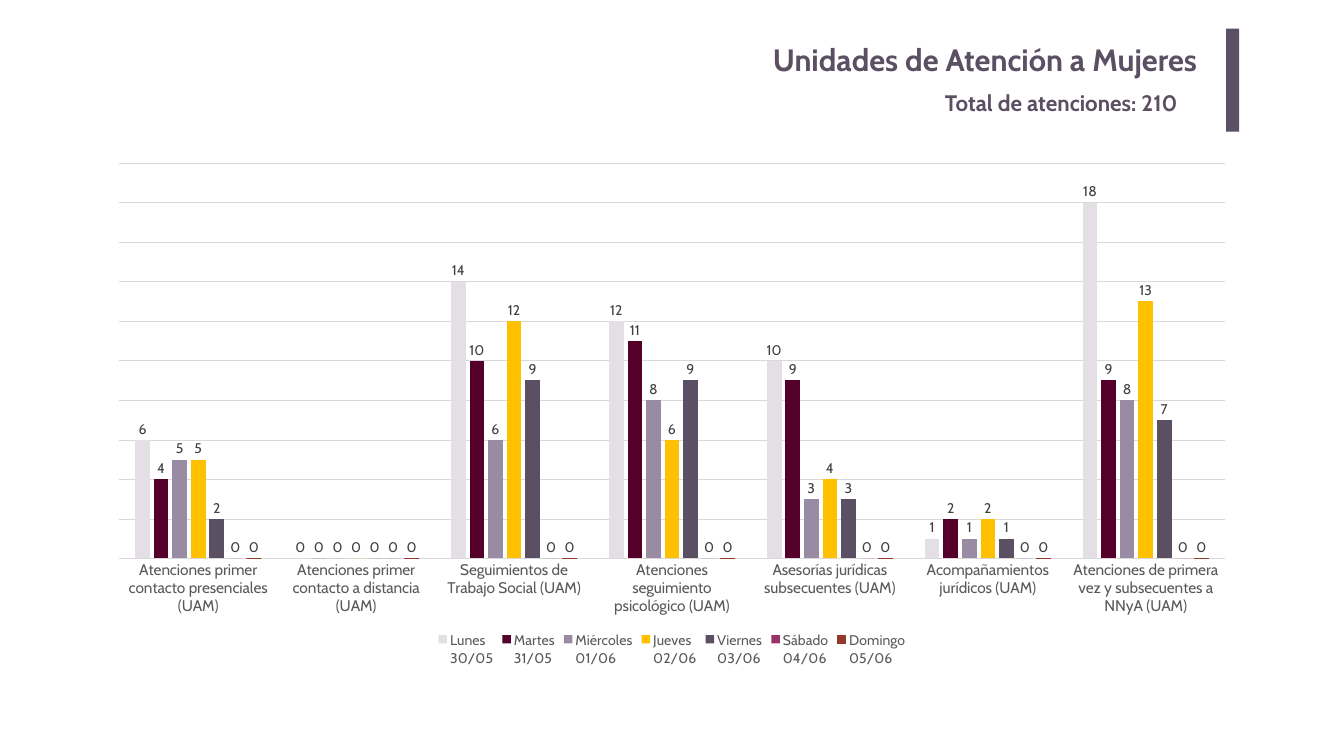
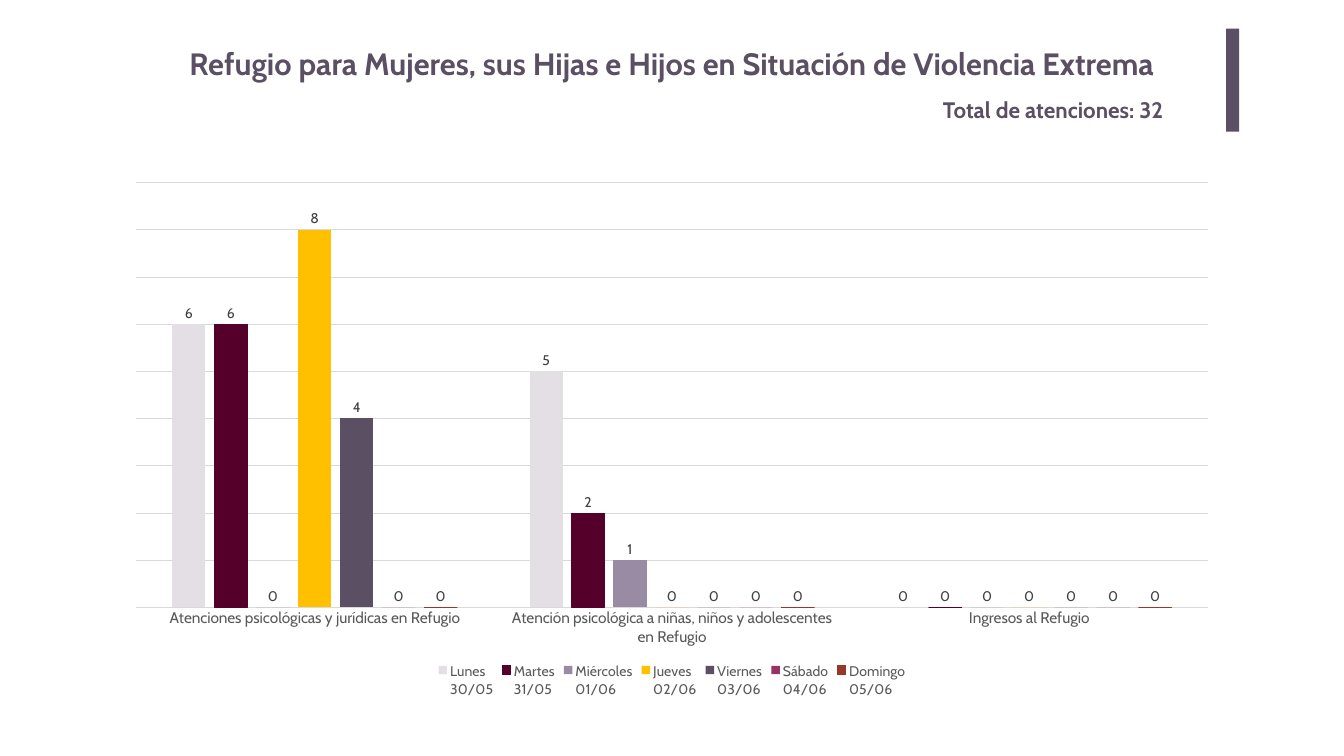
from dataclasses import dataclass

from pptx import Presentation
from pptx.chart.data import CategoryChartData
from pptx.dml.color import RGBColor
from pptx.enum.chart import XL_CHART_TYPE, XL_LABEL_POSITION, XL_LEGEND_POSITION, XL_TICK_MARK
from pptx.enum.shapes import MSO_SHAPE
from pptx.enum.text import MSO_ANCHOR, MSO_AUTO_SIZE, PP_ALIGN
from pptx.util import Inches, Pt


@dataclass(frozen=True)
class Theme:
    font: str = "Cabin"
    accent: str = "5B4F63"
    axis_text: str = "595959"
    label_text: str = "404040"
    rule: str = "D9D9D9"
    title_size: int = 44
    subtitle_size: int = 32
    category_size: int = 22
    chart_size: int = 20
    hairline: float = 0.75


@dataclass(frozen=True)
class Area:
    left: float
    top: float
    width: float
    height: float

    def lengths(self) -> tuple:
        return tuple(Inches(v) for v in (self.left, self.top, self.width, self.height))


@dataclass(frozen=True)
class Day:
    name: str
    color: str


@dataclass(frozen=True)
class Report:
    title: str
    title_area: Area
    title_align: PP_ALIGN
    title_margins: tuple[float, float]
    subtitle: str
    subtitle_area: Area
    chart_area: Area
    axis_maximum: int
    axis_step: int
    outlined_days: tuple[str, ...]
    counts: dict[str, tuple[int, ...]]  # category -> one count per day


THEME = Theme()
ACCENT_BAR = Area(24.33, 0.57, 0.26, 2.04)

DAYS = (
    Day("Lunes\n30/05", "E3DFE5"),
    Day("Martes\n31/05", "54002A"),
    Day("Miércoles\n01/06", "998BA3"),
    Day("Jueves\n02/06", "FFC000"),
    Day("Viernes\n03/06", "5B4F63"),
    Day("Sábado\n04/06", "993366"),
    Day("Domingo\n05/06", "95372B"),
)

REPORTS = (
    Report(
        title="Unidades de Atención a Mujeres",
        title_area=Area(3.66, 0.67, 20.3, 1.02),
        title_align=PP_ALIGN.RIGHT,
        title_margins=(0.2, 0.1),
        subtitle="Total de atenciones: 210",
        subtitle_area=Area(18.65, 1.71, 5.31, 0.65),
        chart_area=Area(1.91, 3.03, 22.85, 10.26),
        axis_maximum=20,
        axis_step=2,
        outlined_days=("Domingo",),
        counts={
            "Atenciones primer contacto presenciales (UAM)": (6, 4, 5, 5, 2, 0, 0),
            "Atenciones primer contacto a distancia (UAM)": (0, 0, 0, 0, 0, 0, 0),
            "Seguimientos de Trabajo Social (UAM)": (14, 10, 6, 12, 9, 0, 0),
            "Atenciones seguimiento psicológico (UAM)": (12, 11, 8, 6, 9, 0, 0),
            "Asesorías jurídicas subsecuentes (UAM)": (10, 9, 3, 4, 3, 0, 0),
            "Acompañamientos jurídicos (UAM)": (1, 2, 1, 2, 1, 0, 0),
            "Atenciones de primera vez y subsecuentes a NNyA (UAM)": (18, 9, 8, 13, 7, 0, 0),
        },
    ),
    Report(
        title="Refugio para Mujeres, sus Hijas e Hijos en Situación de Violencia Extrema",
        title_area=Area(3.66, 0.84, 20.73, 0.84),
        title_align=PP_ALIGN.LEFT,
        title_margins=(0.1, 0.05),
        subtitle="Total de atenciones: 32",
        subtitle_area=Area(18.61, 1.85, 5.35, 0.64),
        chart_area=Area(2.26, 3.41, 22.15, 10.49),
        axis_maximum=9,
        axis_step=1,
        outlined_days=("Martes", "Domingo"),
        counts={
            "Atenciones psicológicas y jurídicas en Refugio": (6, 6, 0, 8, 4, 0, 0),
            "Atención psicológica a niñas, niños y adolescentes en Refugio": (5, 2, 1, 0, 0, 0, 0),
            "Ingresos al Refugio": (0, 0, 0, 0, 0, 0, 0),
        },
    ),
)


def rgb(color: str) -> RGBColor:
    return RGBColor.from_string(color)


def style_font(font, size: int, color: str, bold: bool = False) -> None:
    font.name = THEME.font
    font.size = Pt(size)
    font.bold = bold
    font.color.rgb = rgb(color)


def style_line(line, color: str) -> None:
    line.color.rgb = rgb(color)
    line.width = Pt(THEME.hairline)


def write_heading(shape, text: str, area: Area, size: int, align: PP_ALIGN,
                  margins: tuple[float, float] = (0.1, 0.05)) -> None:
    shape.left, shape.top, shape.width, shape.height = area.lengths()
    frame = shape.text_frame
    frame.word_wrap = True
    frame.auto_size = MSO_AUTO_SIZE.NONE
    frame.vertical_anchor = MSO_ANCHOR.MIDDLE
    frame.margin_left = frame.margin_right = Inches(margins[0])
    frame.margin_top = frame.margin_bottom = Inches(margins[1])
    frame.text = text
    para = frame.paragraphs[0]
    para.alignment = align
    style_font(para.font, size, THEME.accent, bold=True)


def add_accent_bar(page) -> None:
    bar = page.shapes.add_shape(MSO_SHAPE.RECTANGLE, *ACCENT_BAR.lengths())
    bar.shadow.inherit = False
    bar.fill.solid()
    bar.fill.fore_color.rgb = rgb(THEME.accent)
    bar.line.fill.background()


def style_axes(chart, report: Report) -> None:
    category_axis = chart.category_axis
    category_axis.major_tick_mark = XL_TICK_MARK.NONE
    category_axis.minor_tick_mark = XL_TICK_MARK.NONE
    style_line(category_axis.format.line, THEME.rule)
    style_font(category_axis.tick_labels.font, THEME.category_size, THEME.axis_text)

    value_axis = chart.value_axis
    value_axis.visible = False
    value_axis.minimum_scale = 0
    value_axis.maximum_scale = report.axis_maximum
    value_axis.major_unit = report.axis_step
    value_axis.has_major_gridlines = True
    style_line(value_axis.major_gridlines.format.line, THEME.rule)


def style_series(series, day: Day, outlined: bool) -> None:
    series.invert_if_negative = False
    series.format.fill.solid()
    series.format.fill.fore_color.rgb = rgb(day.color)
    if outlined:
        style_line(series.format.line, day.color)
    else:
        series.format.line.fill.background()
    labels = series.data_labels
    labels.show_value = True
    labels.position = XL_LABEL_POSITION.OUTSIDE_END
    style_font(labels.font, THEME.chart_size, THEME.label_text)


def add_daily_chart(page, report: Report) -> None:
    data = CategoryChartData()
    data.categories = list(report.counts)
    for day, values in zip(DAYS, zip(*report.counts.values())):
        data.add_series(day.name, values)
    frame = page.shapes.add_chart(
        XL_CHART_TYPE.COLUMN_CLUSTERED, *report.chart_area.lengths(), data)
    chart = frame.chart
    chart.has_title = False
    style_font(chart.font, 10, "000000")
    style_axes(chart, report)

    plot = chart.plots[0]
    plot.gap_width = 219
    plot.overlap = -27
    plot.vary_by_categories = False
    for day, series in zip(DAYS, plot.series):
        style_series(series, day, day.name.split("\n")[0] in report.outlined_days)

    chart.has_legend = True
    chart.legend.position = XL_LEGEND_POSITION.BOTTOM
    chart.legend.include_in_layout = False
    style_font(chart.legend.font, THEME.chart_size, THEME.axis_text)


def add_report(deck, report: Report) -> None:
    page = deck.slides.add_slide(deck.slide_layouts.get_by_name("Title Only"))
    write_heading(page.shapes.title, report.title, report.title_area,
                  THEME.title_size, report.title_align, report.title_margins)
    add_accent_bar(page)
    subtitle = page.shapes.add_textbox(*report.subtitle_area.lengths())
    write_heading(subtitle, report.subtitle, report.subtitle_area,
                  THEME.subtitle_size, PP_ALIGN.LEFT)
    add_daily_chart(page, report)


def main() -> None:
    deck = Presentation()
    deck.slide_width, deck.slide_height = Inches(26.67), Inches(15)
    for report in REPORTS:
        add_report(deck, report)
    deck.save("out.pptx")


if __name__ == "__main__":
    main()
